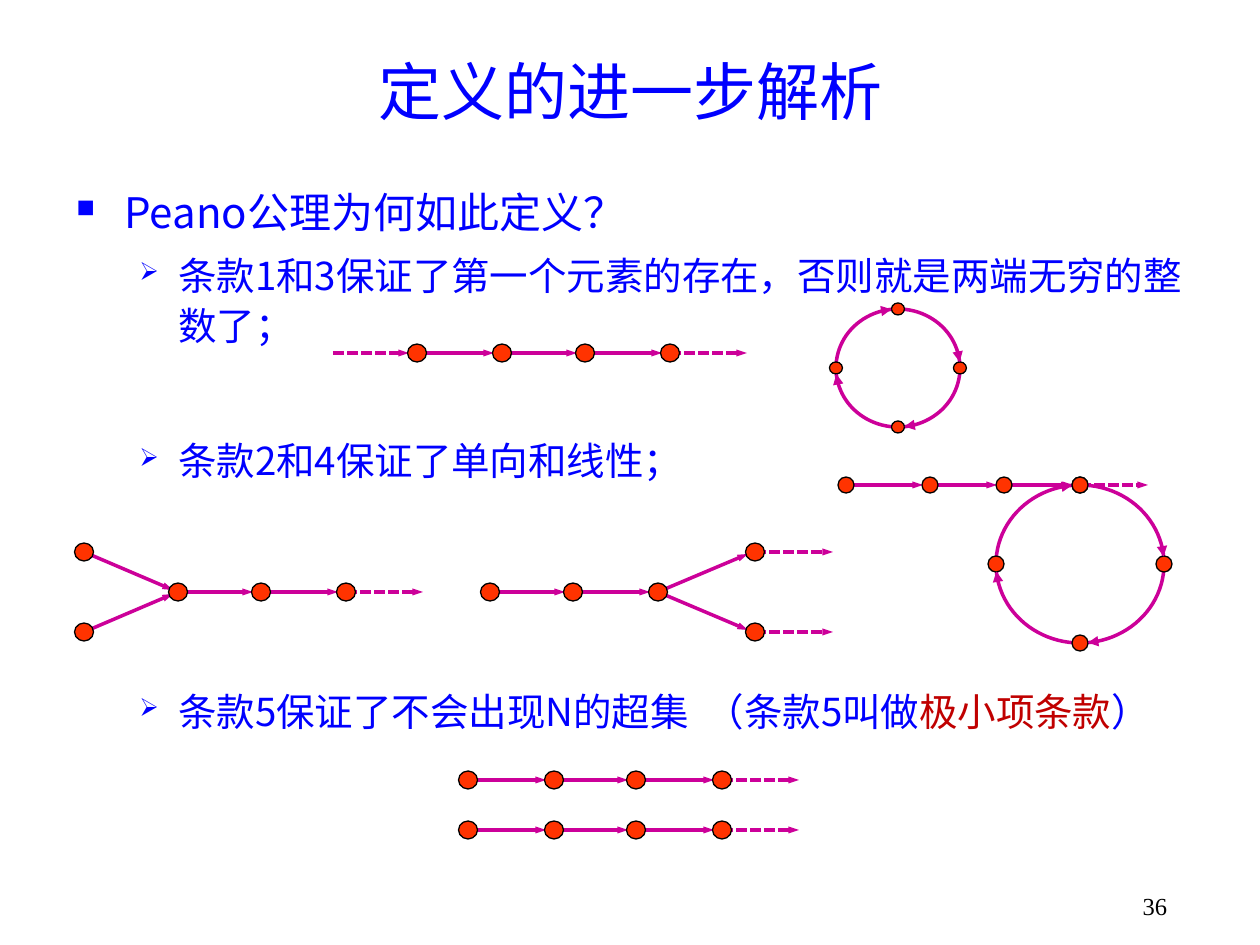
from dataclasses import dataclass
from itertools import pairwise
from math import cos, pi, sin

from pptx import Presentation
from pptx.dml.color import RGBColor
from pptx.enum.dml import MSO_LINE
from pptx.enum.shapes import MSO_CONNECTOR, MSO_SHAPE
from pptx.enum.text import MSO_ANCHOR, PP_ALIGN
from pptx.oxml.ns import qn
from pptx.util import Pt
from lxml.etree import SubElement

SCALE = 914400 / 126


@dataclass(frozen=True)
class Theme:
    text: str = "0000FF"
    accent: str = "C00000"
    number: str = "000000"
    arrow: str = "CC0099"
    node: str = "FF3300"
    outline: str = "000000"
    sans: str = "Noto Sans CJK SC"
    serif: str = "Times New Roman"
    title_size: int = 36
    topic_size: int = 24
    clause_size: int = 22
    number_size: int = 14
    arrow_width: float = 2
    thin_width: float = 0.75


THEME = Theme()


def px(length):
    return round(length * SCALE)


def add_span(para, text, size, color=THEME.text, font=THEME.sans):
    span = para.add_run()
    span.text = text
    span.font.size = Pt(size)
    span.font.name = font
    span.font.color.rgb = RGBColor.from_string(color)
    SubElement(span.font._element, qn("a:ea"), typeface=font)


def add_box(page, left, top, width, height, anchor=MSO_ANCHOR.TOP):
    box = page.shapes.add_textbox(px(left), px(top), px(width), px(height))
    box.text_frame.word_wrap = True
    box.text_frame.vertical_anchor = anchor
    return box.text_frame


def add_label(page, area, text, anchor, *style):
    para = add_box(page, *area, anchor).paragraphs[0]
    para.alignment = PP_ALIGN.CENTER
    add_span(para, text, *style)


def set_bullet(para, mark, percent, margin, hanging):
    props = para._p.get_or_add_pPr()
    props.set("marL", str(px(margin)))
    props.set("indent", str(-px(hanging)))
    color = SubElement(props, qn("a:buClr"))
    SubElement(color, qn("a:srgbClr"), val=THEME.text)
    SubElement(props, qn("a:buSzPct"), val=str(percent * 1000))
    SubElement(props, qn("a:buChar"), char=mark)


def add_item(para, spans, size, space_after, bullet):
    para.line_spacing = 1.1
    para.space_after = Pt(space_after)
    set_bullet(para, *bullet)
    for text, color in spans:
        add_span(para, text, size, color)


def add_clauses(page):
    frame = add_box(page, 64, 175, 1132, 566)
    add_item(frame.paragraphs[0], [("Peano公理为何如此定义？", THEME.text)],
             THEME.topic_size, 6, ("■", 60, 48, 48))
    clauses = [
        ([("条款1和3保证了第一个元素的存在，否则就是两端无穷的整数了；", THEME.text)], 48),
        ([("条款2和4保证了单向和线性；", THEME.text)], 114),
        ([("条款5保证了不会出现N的超集  （条款5叫做", THEME.text),
          ("极小项条款", THEME.accent), ("）", THEME.text)], 6),
    ]
    for spans, space_after in clauses:
        para = frame.add_paragraph()
        para.level = 1
        add_item(para, spans, THEME.clause_size, space_after, ("➢", 65, 102, 39))


def style_line(line, color, width):
    line.color.rgb = RGBColor.from_string(color)
    line.width = Pt(width)


def add_head(shape, breadth):
    SubElement(shape.line._get_or_add_ln(), qn("a:tailEnd"),
               type="triangle", w=breadth, len="med")


def add_arrow(shapes, start, end, dashed=False):
    arrow = shapes.add_connector(MSO_CONNECTOR.STRAIGHT, *map(px, (*start, *end)))
    style_line(arrow.line, THEME.arrow, THEME.arrow_width)
    if dashed:
        arrow.line.dash_style = MSO_LINE.SQUARE_DOT
    add_head(arrow, "sm")
    SubElement(arrow._element.spPr, qn("a:effectLst"))


def add_node(shapes, x, y, width=19, height=18):
    node = shapes.add_shape(MSO_SHAPE.FLOWCHART_CONNECTOR, px(x - width / 2),
                            px(y - height / 2), px(width), px(height))
    node.shadow.inherit = False
    node.fill.solid()
    node.fill.fore_color.rgb = RGBColor.from_string(THEME.node)
    style_line(node.line, THEME.outline, THEME.thin_width)


def add_chain(shapes, xs, y, size=(19, 18), lead=0, trail=0):
    inset = size[0] // 2 - 1
    for x, following in pairwise(xs):
        add_arrow(shapes, (x, y), (following - inset, y))
    if lead:
        add_arrow(shapes, (xs[0] - lead, y), (xs[0] - inset, y), dashed=True)
    if trail:
        add_arrow(shapes, (xs[-1], y), (xs[-1] + trail, y), dashed=True)
    for x in xs:
        add_node(shapes, x, y, *size)


def add_ring(shapes, x, y, radius_x, radius_y, size):
    ring = shapes.add_shape(MSO_SHAPE.OVAL, px(x - radius_x), px(y - radius_y),
                            px(2 * radius_x), px(2 * radius_y))
    ring.shadow.inherit = False
    ring.fill.background()
    style_line(ring.line, THEME.arrow, THEME.arrow_width)

    def point(angle):
        return x + radius_x * cos(angle), y + radius_y * sin(angle)

    for quarter in range(4):
        angle = quarter * pi / 2
        add_node(shapes, *point(angle), *size)
        start, middle, tip = [
            tuple(map(px, point(angle - (size[0] / 2 + back) / radius_x)))
            for back in (9, 4, 0)
        ]
        builder = shapes.build_freeform(*start)
        builder.add_line_segments([middle, tip], close=False)
        arc = builder.convert_to_shape()
        arc.shadow.inherit = False
        arc.fill.background()
        style_line(arc.line, THEME.arrow, THEME.thin_width)
        add_head(arc, "med")


def add_merge(shapes):
    for y, end_y in ((552, 590), (632, 594)):
        add_arrow(shapes, (84, y), (173, end_y))
        add_node(shapes, 84, y)
    add_chain(shapes, (178, 261, 346), 592, trail=77)


def add_fork(shapes):
    for y, end_y in ((552, 554), (632, 630)):
        add_arrow(shapes, (658, 592), (748, end_y))
        add_chain(shapes, (755,), y, trail=78)
    add_chain(shapes, (490, 573, 658), 592)


def main():
    deck = Presentation()
    deck.slide_width, deck.slide_height = px(1260), px(945)
    page = deck.slides.add_slide(deck.slide_layouts[6])

    add_label(page, (95, 45, 1071, 90), "定义的进一步解析", MSO_ANCHOR.MIDDLE,
              THEME.title_size)
    add_clauses(page)
    add_label(page, (1096, 885, 118, 44), "36", MSO_ANCHOR.TOP,
              THEME.number_size, THEME.number, THEME.serif)

    merge, endless, fork, parallel, cycle, lasso = [
        page.shapes.add_group_shape().shapes for _ in range(6)
    ]
    add_merge(merge)
    add_chain(endless, (417, 502, 585, 670), 353, lead=84, trail=77)
    add_fork(fork)
    for y in (780, 830):
        add_chain(parallel, (468, 554, 636, 722), y, trail=77)
    add_ring(cycle, 898, 368, 62, 59, (13, 12))
    add_ring(lasso, 1080, 564, 84, 79, (16, 16))
    add_chain(lasso, (846, 930, 1004, 1080), 485, (16, 16), trail=68)

    deck.save("out.pptx")


if __name__ == "__main__":
    main()
